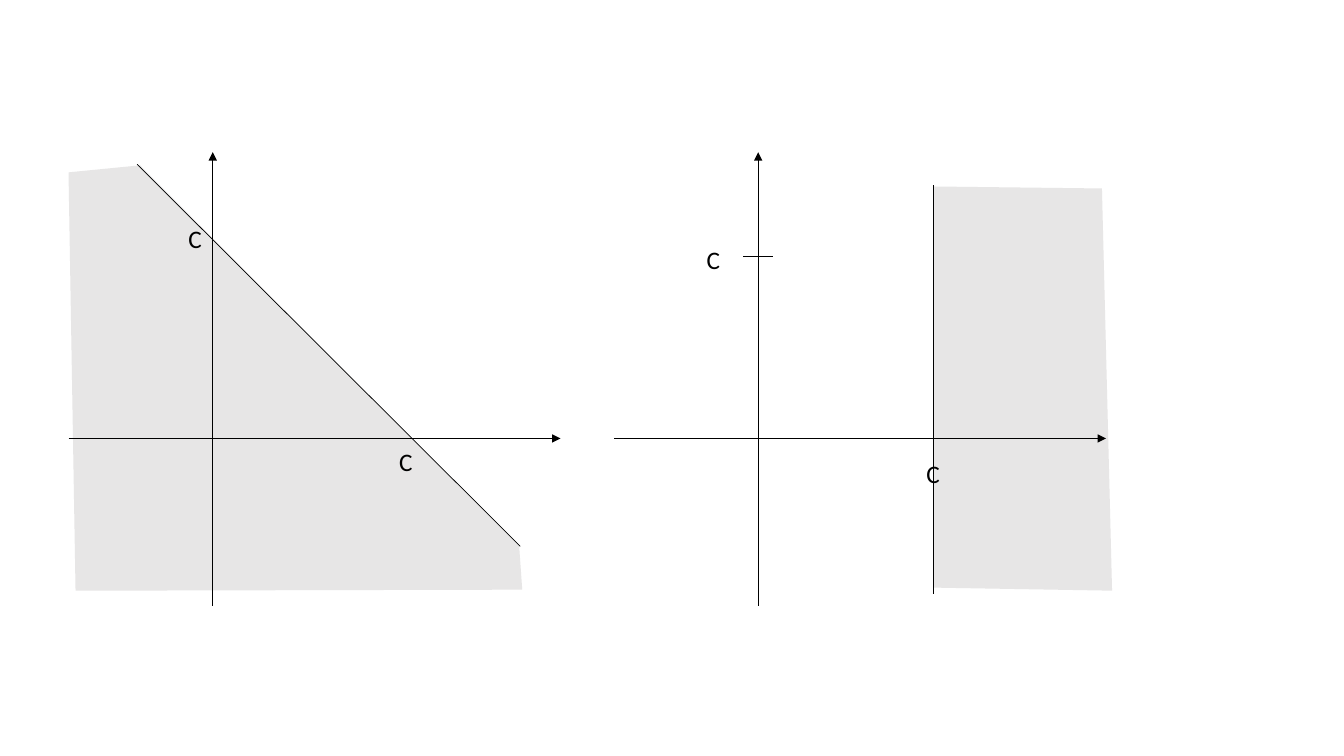
from pptx import Presentation
from pptx.dml.color import RGBColor
from pptx.enum.shapes import MSO_CONNECTOR
from pptx.enum.text import MSO_AUTO_SIZE
from pptx.oxml.ns import qn
from pptx.util import Inches, Pt
from lxml import etree

STRAIGHT = MSO_CONNECTOR.STRAIGHT
GROW = MSO_AUTO_SIZE.SHAPE_TO_FIT_TEXT
BLACK, GREY = "000000", "E7E6E6"
WIDE, HIGH = 4.88, 4.5
LEFT, DOWN = 1.43, 1.66


def color(code):
    """Turn a hex string into a colour."""
    return RGBColor.from_string(code)


def place(box, point):
    """Map a point measured from the axes' origin, y upward, to the slide."""
    left, top = box
    x, y = point
    return Inches(left + LEFT + x), Inches(top + HIGH - DOWN - y)


def shade(slide, box, points):
    """Fill a region bounded by points."""
    first, *rest = [place(box, point) for point in points]
    pen = slide.shapes.build_freeform(*first)
    pen.add_line_segments(rest, close=True)
    area = pen.convert_to_shape()
    area.shadow.inherit = False
    area.fill.solid()
    area.fill.fore_color.rgb = color(GREY)
    area.line.fill.background()


def draw(slide, box, start, end, arrow=False):
    """Draw a thin line, with an arrowhead at its end if asked."""
    line = slide.shapes.add_connector(
        STRAIGHT, *place(box, start), *place(box, end))
    line.line.color.rgb = color(BLACK)
    line.line.width = Pt(0.5)
    props = line._element.spPr
    if arrow:
        etree.SubElement(props.find(qn("a:ln")), qn("a:tailEnd"), type="triangle")
    etree.SubElement(props, qn("a:effectLst"))


def label(slide, box, point, text):
    """Write a label whose top left corner is at point."""
    note = slide.shapes.add_textbox(*place(box, point), Inches(0.34), Inches(0.4))
    frame = note.text_frame
    frame.word_wrap = False
    frame.auto_size = GROW
    frame.text = text
    font = frame.paragraphs[0].font
    font.name, font.size = "Calibri", Pt(18)
    font.color.rgb = color(BLACK)


def plot(slide, box, region, lines, labels):
    """Build one graph: shaded region, axes, lines and labels."""
    shade(slide, box, region)
    draw(slide, box, (0, -DOWN), (0, HIGH - DOWN), True)
    draw(slide, box, (-LEFT, 0), (WIDE - LEFT, 0), True)
    for start, end in lines:
        draw(slide, box, start, end)
    for point in labels:
        label(slide, box, point, "C")


def main():
    """Build the slide with its two graphs."""
    deck = Presentation()
    deck.slide_width, deck.slide_height = Inches(13.33), Inches(7.5)
    slide = deck.slides.add_slide(deck.slide_layouts[6])
    plot(slide, (0.68, 1.51),
         [(-0.72, 2.71), (3.04, -1.07), (3.07, -1.5), (-1.36, -1.51), (-1.43, 2.64)],
         [((-0.75, 2.72), (3.05, -1.07))],
         [(-0.34, 2.18), (1.75, -0.03)])
    edge = 1.74
    plot(slide, (6.09, 1.51),
         [(edge, 2.5), (edge, -1.48), (3.51, -1.51), (3.41, 2.48)],
         [((-0.15, 1.81), (0.15, 1.81)),
          ((edge, 0.1), (edge, -0.15)),
          ((edge, 2.51), (edge, -1.54))],
         [(-0.61, 1.98), (edge - 0.17, -0.15)])
    deck.save("out.pptx")


if __name__ == "__main__":
    main()
